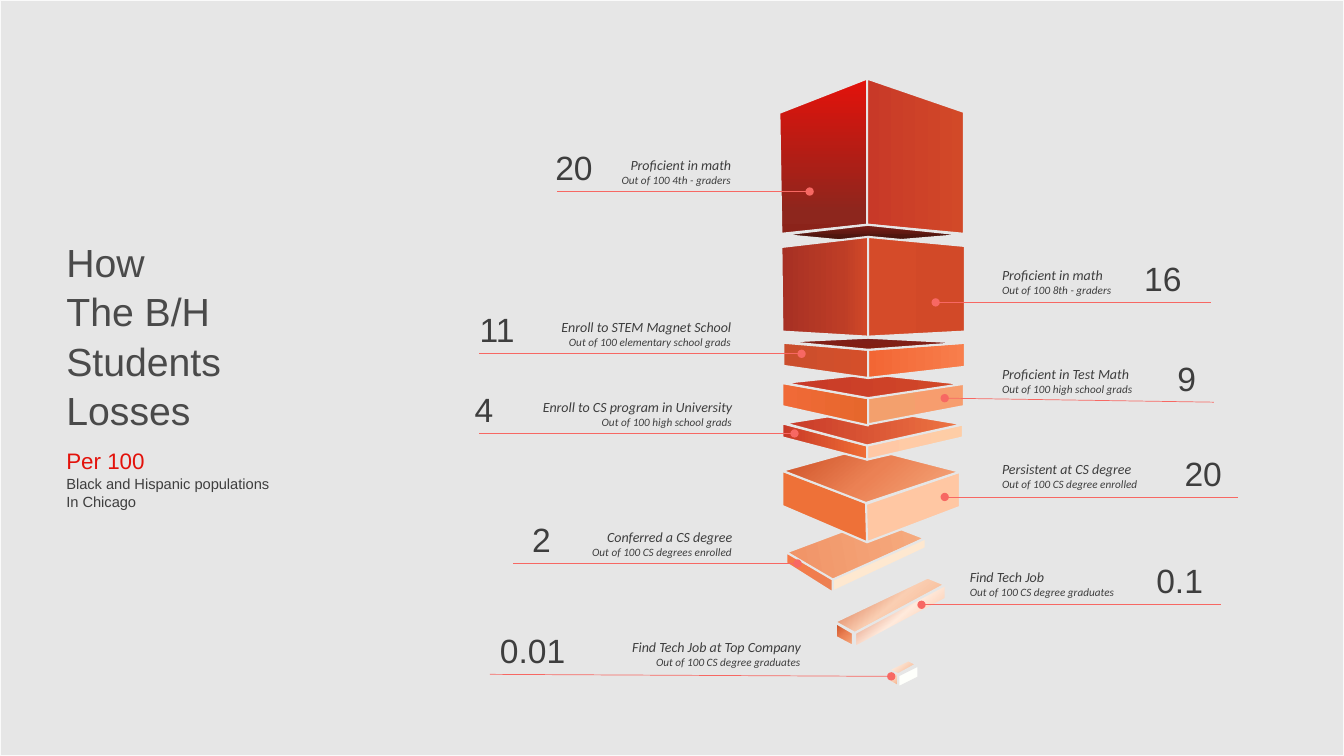
from lxml import etree
from pptx import Presentation
from pptx import util as u
from pptx.dml.color import RGBColor
from pptx.enum import shapes, text
from pptx.oxml.ns import qn

THEME = {
    "backdrop": "FAFAFA",
    "panel": "E6E6E6",
    "edge": "E6E6E6",
    "leader": "F76863",
    "title": {"size": u.Pt(28), "name": "Arial", "color": "4A4A4A"},
    "accent": {"size": u.Pt(16), "name": "Arial", "color": "E3120B"},
    "note": {"size": u.Pt(10.5), "name": "Arial", "color": "3E3E3E"},
    "figure": {"size": u.Pt(24), "name": "Arial", "color": "3E3E3E"},
    "step": {"size": u.Pt(10), "name": "Calibri", "italic": True, "color": "3E3E3E"},
    "base": {"size": u.Pt(8), "name": "Calibri", "italic": True, "color": "3E3E3E"},
    "faces": {
        "conferred top": (170, {0: "F6AB7F", 100: "F09366"}),
        "conferred right": (230, {0: "FEE8D0", 100: "FEE7CD"}),
        "conferred left": (230, {0: "EB8154", 100: "F87845"}),
        "persistent left": (None, "EE7138"),
        "persistent right": (None, "FFC7A3"),
        "persistent top": (230, {0: "F6AB7F", 50: "EB8154", 100: "CC4E24"}),
        "fourth grade left": (90, {0: "E3120B", 87: "8D261D", 100: "8B231A"}),
        "fourth grade right": (180, {0: "D24928", 100: "C83928"}),
        "fourth grade bottom": (270, {0: "42120B", 45: "51160F", 54: "601912", 100: "7E1F18"}),
        "university right": (180, {0: "FECDA6", 100: "FFC8A5"}),
        "university left": (180, {0: "EF6D34", 100: "C83928"}),
        "university top": (180, {0: "EE7543", 100: "C83928"}),
        "test right": (180, {0: "F79D6E", 100: "F3A06D"}),
        "test left": (180, {0: "E6672C", 100: "F06A37"}),
        "test top": (180, {0: "D24928", 100: "C83928"}),
        "magnet left": (180, {0: "D44F2A", 100: "CB4E2D"}),
        "magnet right": (180, {0: "F87E4C", 100: "F26634"}),
        "magnet top": (270, {0: "831E11", 100: "7E1F18"}),
        "eighth grade left": (180, {0: "D24928", 29: "BD3D26", 100: "A73024"}),
        "eighth grade right": (180, {0: "D24928", 100: "D54B29"}),
        "tech job top": (230, {0: "F6AB7F", 50: "FACEB2", 100: "CC4E24"}),
        "tech job left": (230, {0: "F6AB7F", 50: "EB8154", 100: "CC4E24"}),
        "tech job right": (230, {0: "F6AB7F", 50: "FFEADC", 100: "CC4E24"}),
        "top company top": (230, {0: "F6AB7F", 97: "FFFFFB"}),
        "top company left": (230, {0: "F6AB7F", 97: "FFFFFB"}),
        "top company right": (230, {0: "FEFFFB", 97: "FFFFFB"}),
    },
}

OUTLINES = {
    "conferred top": [(7.8, 5.48), (8.68, 5.15), (9.17, 5.34), (8.26, 5.76)],
    "conferred right": [(8.26, 5.75), (9.18, 5.34), (9.18, 5.44), (8.26, 5.87)],
    "conferred left": [(7.8, 5.48), (7.8, 5.59), (8.26, 5.88), (8.26, 5.75)],
    "persistent left": [(7.76, 4.67), (7.76, 5.02), (8.6, 5.38), (8.6, 4.99)],
    "persistent right": [(8.59, 5), (9.52, 4.68), (9.52, 5.03), (8.6, 5.38)],
    "persistent top": [(7.76, 4.67), (8.59, 4.44), (9.52, 4.68), (8.59, 4.99)],
    "fourth grade left": [(7.73, 1.12), (8.6, 0.78), (8.6, 2.23), (7.75, 2.32)],
    "fourth grade right": [(9.56, 2.32), (9.56, 1.11), (8.6, 0.78), (8.6, 2.23)],
    "fourth grade bottom": [(7.75, 2.33), (8.6, 2.41), (9.56, 2.33), (8.61, 2.23)],
    "university right": [(8.6, 4.42), (8.6, 4.56), (9.55, 4.34), (9.55, 4.21)],
    "university left": [(7.76, 4.2), (8.6, 4.42), (8.6, 4.56), (7.76, 4.34)],
    "university top": [(7.78, 4.2), (8.66, 4.06), (9.55, 4.21), (8.6, 4.42)],
    "test right": [(8.6, 3.95), (9.56, 3.8), (9.56, 4.03), (8.61, 4.21)],
    "test left": [(7.76, 3.8), (7.76, 4.03), (8.61, 4.22), (8.61, 3.95)],
    "test top": [(7.77, 3.8), (8.63, 3.71), (9.55, 3.81), (8.61, 3.95)],
    "magnet left": [(7.77, 3.4), (8.61, 3.47), (8.61, 3.75), (7.77, 3.63)],
    "magnet right": [(8.61, 3.47), (9.57, 3.4), (9.57, 3.64), (8.61, 3.75)],
    "magnet top": [(7.77, 3.39), (8.61, 3.35), (9.57, 3.4), (8.61, 3.47)],
    "eighth grade left": [(7.75, 2.45), (8.61, 2.35), (8.61, 3.34), (7.76, 3.29)],
    "eighth grade right": [(8.61, 2.35), (9.57, 2.44), (9.57, 3.29), (8.61, 3.34)],
    "tech job top": [(8.28, 6.17), (8.48, 6.28), (9.37, 5.8), (9.2, 5.73)],
    "tech job left": [(8.46, 6.28), (8.46, 6.41), (8.29, 6.32), (8.29, 6.18)],
    "tech job right": [(9.38, 5.8), (9.38, 5.94), (8.48, 6.42), (8.48, 6.28)],
    "top company top": [(8.82, 6.64), (8.89, 6.7), (9.09, 6.59), (9.01, 6.55)],
    "top company left": [(8.81, 6.65), (8.82, 6.76), (8.91, 6.81), (8.91, 6.69)],
    "top company right": [(9.11, 6.6), (9.11, 6.72), (8.91, 6.82), (8.91, 6.7)],
}

CALLOUTS = [
    ((8.03, 1.9), (5.52, 1.9), (5.58, 1.77), (5.41, 0.86),
     "20", "Proficient in math", "Out of 100 4th - graders"),
    ((9.28, 3), (12.01, 3), (9.84, 2.16), (11.25, 0.86),
     "16", "Proficient in math", "Out of 100 8th - graders"),
    ((7.95, 3.51), (4.75, 3.51), (5.01, 2.34), (4.66, 0.86),
     "11", "Enroll to STEM Magnet School", "Out of 100 elementary school grads"),
    ((9.37, 3.95), (12.04, 3.99), (9.84, 2.16), (11.58, 0.86),
     "9", "Proficient in Test Math", "Out of 100 high school grads"),
    ((7.88, 4.3), (4.75, 4.3), (4.67, 2.69), (4.61, 0.86),
     "4", "Enroll to CS program in University", "Out of 100 high school grads"),
    ((9.37, 4.93), (12.28, 4.93), (9.84, 2.16), (11.65, 0.86),
     "20", "Persistent at CS degree", "Out of 100 CS degree enrolled"),
    ((7.91, 5.59), (5.09, 5.59), (5.28, 2.08), (5.18, 0.57),
     "2", "Conferred a CS degree", "Out of 100 CS degrees enrolled"),
    ((9.14, 6), (12.11, 6), (9.52, 2.16), (11.37, 0.9),
     "0.1", "Find Tech Job", "Out of 100 CS degree graduates"),
    ((8.84, 6.71), (4.86, 6.69), (5.43, 2.61), (4.86, 1.1),
     "0.01", "Find Tech Job at Top Company", "Out of 100 CS degree graduates"),
]

deck = Presentation()
deck.slide_width, deck.slide_height = u.Inches(13.33), u.Inches(7.5)
slide = deck.slides.add_slide(deck.slide_layouts[6])
slide.background.fill.solid()
slide.background.fill.fore_color.rgb = RGBColor.from_string(THEME["backdrop"])


def paint(part, fill, line, width):
    part.shadow.inherit = False
    part.fill.solid()
    part.fill.fore_color.rgb = RGBColor.from_string(fill)
    part.line.color.rgb = RGBColor.from_string(line)
    part.line.width = u.Pt(width)


def write(left, top, width, height, lines, align=text.PP_ALIGN.LEFT, spacing=1.05):
    frame = slide.shapes.add_textbox(*map(u.Inches, (left, top, width, height))).text_frame
    frame.word_wrap = True
    frame.auto_size = text.MSO_AUTO_SIZE.SHAPE_TO_FIT_TEXT
    for index, (wording, style) in enumerate(lines):
        paragraph = frame.add_paragraph() if index else frame.paragraphs[0]
        paragraph.alignment = align
        paragraph.line_spacing = spacing
        run = paragraph.add_run()
        run.text = wording
        for attribute, value in THEME[style].items():
            if attribute == "color":
                run.font.color.rgb = RGBColor.from_string(value)
            else:
                setattr(run.font, attribute, value)


panel = slide.shapes.add_shape(
    shapes.MSO_SHAPE.RECTANGLE, 0, 0, deck.slide_width, deck.slide_height)
paint(panel, THEME["panel"], THEME["backdrop"], 1)

tower = slide.shapes.add_group_shape()
for name, corners in OUTLINES.items():
    start, *rest = [(u.Inches(x), u.Inches(y)) for x, y in corners]
    outline = tower.shapes.build_freeform(*start)
    outline.add_line_segments(rest, close=True)
    face = outline.convert_to_shape()
    angle, colours = THEME["faces"][name]
    paint(face, THEME["edge"] if angle else colours, THEME["edge"], 1.5)
    if angle:
        face.fill.gradient()
        face.fill.gradient_angle = 360 - angle
        stops = face._element.spPr.find(".//" + qn("a:gsLst"))
        stops.clear()
        for position, colour in colours.items():
            stop = etree.SubElement(stops, qn("a:gs"), pos=str(position * 1000))
            etree.SubElement(stop, qn("a:srgbClr"), val=colour)

leaders = slide.shapes.add_group_shape()
for dot, end, label, figure, amount, step, base in CALLOUTS:
    leader = leaders.shapes.add_connector(
        shapes.MSO_CONNECTOR.STRAIGHT, *map(u.Inches, dot + end))
    leader.line.color.rgb = RGBColor.from_string(THEME["leader"])
    leader.line.width = u.Pt(0.5)
    etree.SubElement(leader.line._get_or_add_ln(), qn("a:headEnd"), type="oval")
    etree.SubElement(leader._element.spPr, qn("a:effectLst"))

    on_left = end[0] < dot[0]
    write(label[0], end[1] - (0.4 if on_left else 0.41), label[1], 0.4,
          [(step, "step"), (base, "base")],
          text.PP_ALIGN.RIGHT if on_left else text.PP_ALIGN.LEFT, 1.0)
    write(figure[0], end[1] - 0.51, figure[1], 0.5, [(amount, "figure")])

write(0.56, 4.37, 3.52, 0.72, [
    ("Per 100", "accent"),
    ("Black and Hispanic populations", "note"),
    ("In Chicago", "note"),
])
write(0.56, 2.29, 3.58, 1.99,
      [(line, "title") for line in ("How", "The B/H", "Students", "Losses")])

deck.save("out.pptx")
